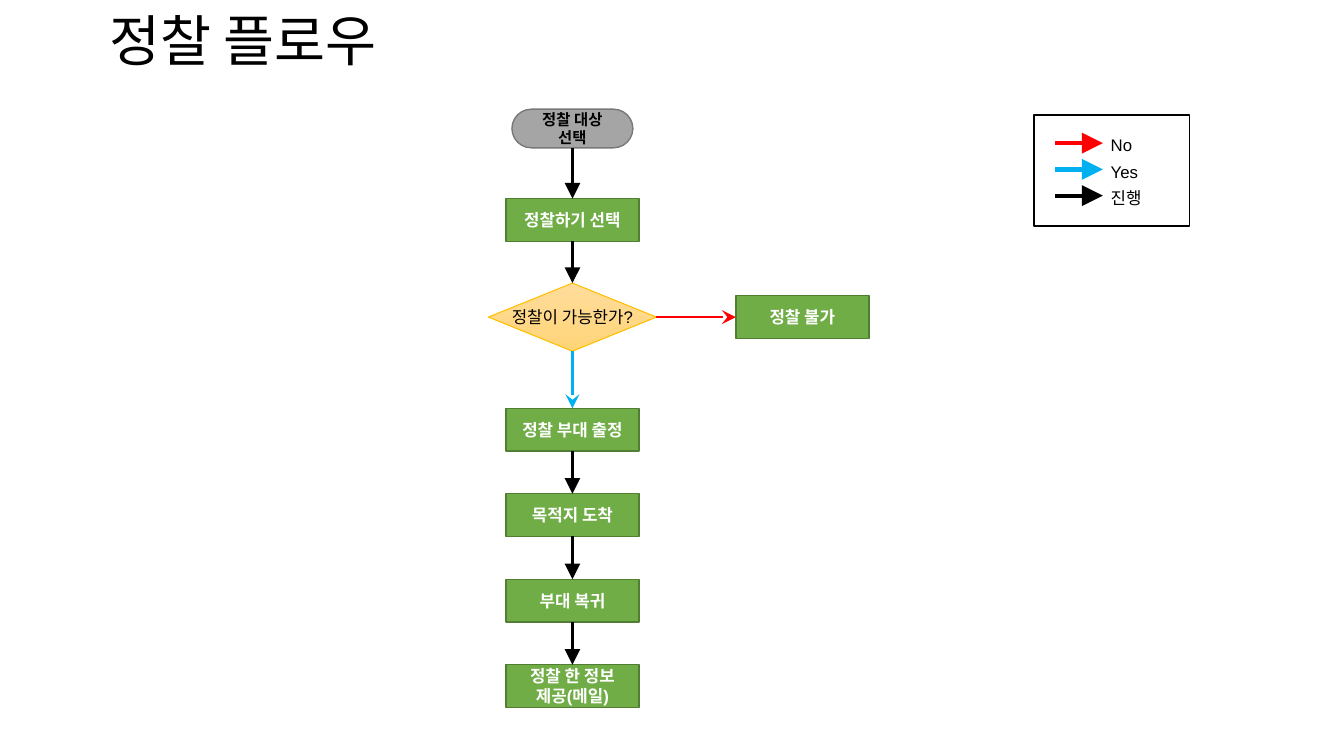
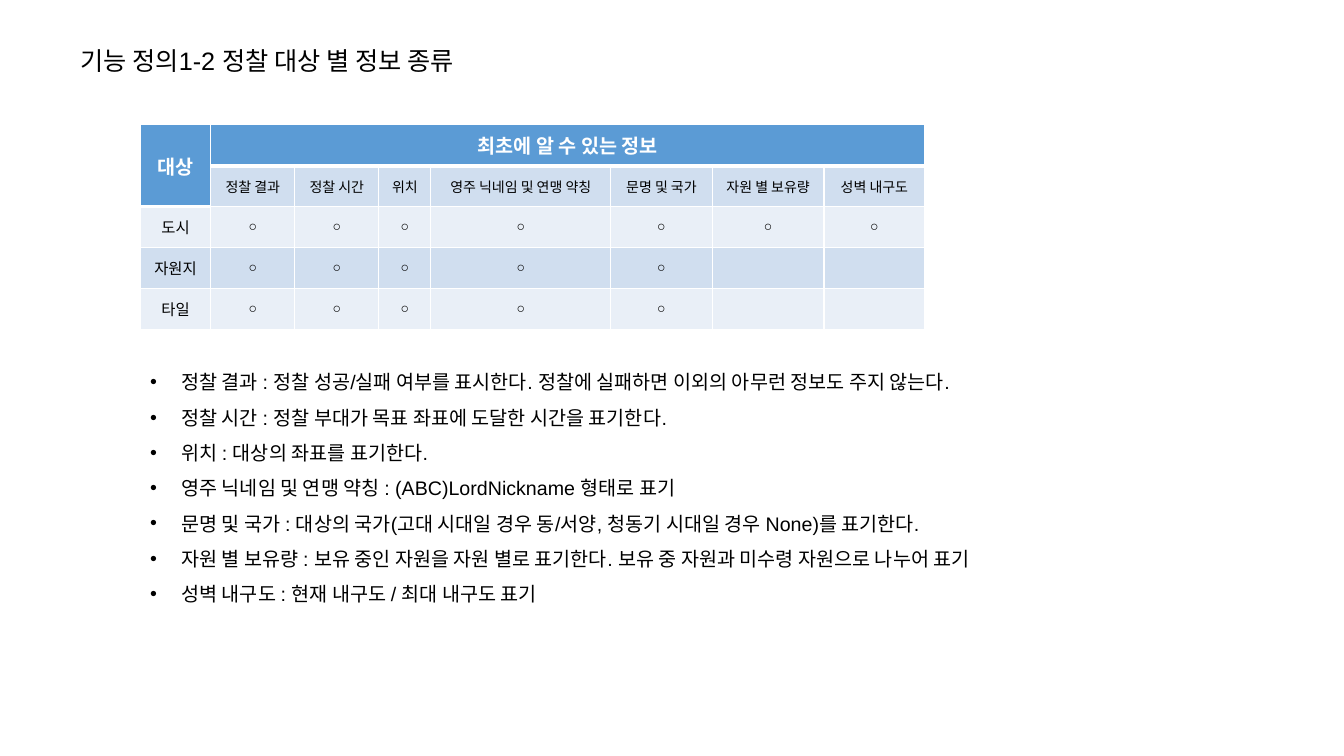
from dataclasses import dataclass
from itertools import pairwise
from typing import Any

from lxml import etree
from pptx import Presentation
from pptx import util as u
from pptx.dml.color import RGBColor
from pptx.enum import shapes, text
from pptx.oxml import ns

COLUMNS, ROWS = 160, 90
UNIT = 76200
FONT = "Arial"
BLACK, WHITE, RED, SKY = "000000", "FFFFFF", "FF0000", "00B0F0"
GREEN, DARK_GREEN, GREY, DARK_GREY = "70AD47", "517E33", "A5A5A5", "787878"
AMBER, AMBER_TOP, AMBER_BOTTOM = "FFC000", "FFDC9B", "FFD478"
BLUE, BAND_DARK, BAND_LIGHT = "5B9BD5", "D0DEEF", "E9EFF7"
TOP, BOTTOM, LEFT, RIGHT = 0, 2, 1, 3
CENTER, START = text.PP_ALIGN.CENTER, text.PP_ALIGN.LEFT
MIDDLE = text.MSO_ANCHOR.MIDDLE
PRESET = shapes.MSO_SHAPE

AXIS = 68.15
STEP_WIDTH, STEP_HEIGHT = 15.84, 5.08
MARCH_TOP, MARCH_PITCH = 48.6, 10.18
DECISION_TOP, DECISION_HEIGHT = 33.7, 8.1


@dataclass
class Style:
    size: float
    color: str = BLACK
    bold: bool = False
    align: Any = START
    spacing: float = 1.0


@dataclass
class Node:
    lines: list[str]
    top: float
    width: float = STEP_WIDTH
    height: float = STEP_HEIGHT
    center: float = AXIS
    preset: Any = PRESET.FLOWCHART_PROCESS
    fill: str = GREEN
    outline: str = DARK_GREEN
    outline_width: float = 1
    style: Style | None = None


@dataclass
class LegendEntry:
    label: str
    color: str


STEP = Style(12, WHITE, True, CENTER)
LABEL = Style(12)
HEADING = Style(14, WHITE, True, CENTER)
COLUMN_NAME = Style(10, align=CENTER)
TARGET_NAME = Style(11, align=CENTER)

START_NODE = Node(["정찰 대상", "선택"], 13, 14.4, 4.6, preset=PRESET.FLOWCHART_TERMINATOR,
                  fill=GREY, outline=DARK_GREY, style=Style(11, BLACK, True, CENTER))
CHOOSE_NODE = Node(["정찰하기 선택"], 23.65)
DECISION_NODE = Node(["정찰이 가능한가?"], DECISION_TOP, 20, DECISION_HEIGHT,
                     preset=PRESET.FLOWCHART_DECISION, fill="", outline=AMBER,
                     outline_width=0.75, style=Style(12, align=CENTER))
REJECT_NODE = Node(["정찰 불가"], DECISION_TOP + (DECISION_HEIGHT - STEP_HEIGHT) / 2, center=95.52)
MARCH_STEPS = [["정찰 부대 출정"], ["목적지 도착"], ["부대 복귀"], ["정찰 한 정보", "제공(메일)"]]
LEGEND = [LegendEntry("No", RED), LegendEntry("Yes", SKY), LegendEntry("진행", BLACK)]

COLUMN_WIDTHS = [8.4, 10, 10, 6.2, 21.4, 12.1, 13.3, 12]
ROW_HEIGHT = 4.88
INFO_NAMES = ["정찰 결과", "정찰 시간", "위치", "영주 닉네임 및 연맹 약칭",
              "문명 및 국가", "자원 별 보유량", "성벽 내구도"]
KNOWN_COUNTS = {"도시": 7, "자원지": 5, "타일": 5}
DEFINITIONS = [
    "정찰 결과 : 정찰 성공/실패 여부를 표시한다. 정찰에 실패하면 이외의 아무런 정보도 주지 않는다.",
    "정찰 시간 : 정찰 부대가 목표 좌표에 도달한 시간을 표기한다.",
    "위치 : 대상의 좌표를 표기한다.",
    "영주 닉네임 및 연맹 약칭 : (ABC)LordNickname 형태로 표기",
    "문명 및 국가 : 대상의 국가(고대 시대일 경우 동/서양, 청동기 시대일 경우 None)를 표기한다.",
    "자원 별 보유량 : 보유 중인 자원을 자원 별로 표기한다. 보유 중 자원과 미수령 자원으로 나누어 표기",
    "성벽 내구도 : 현재 내구도 / 최대 내구도 표기",
]


def grid(count: float) -> int:
    return u.Emu(round(count * UNIT))


def rgb(value: str) -> RGBColor:
    return RGBColor.from_string(value)


def assign(target: Any, values: dict[str, Any]) -> None:
    for name, value in values.items():
        setattr(target, name, value)


def child(parent: Any, tag: str, **attributes: str) -> Any:
    return etree.SubElement(parent, ns.qn(tag), attributes)


def add_bullet(paragraph: Any) -> None:
    properties = paragraph._p.get_or_add_pPr()
    indent = u.Inches(0.31)
    properties.set("marL", str(indent))
    properties.set("indent", str(-indent))
    child(child(properties, "a:buClr"), "a:srgbClr", val=BLACK)
    child(properties, "a:buFont", typeface=FONT)
    child(properties, "a:buChar", char="•")


def write(frame: Any, lines: list[str], style: Style, bulleted: bool = False) -> None:
    for index, line in enumerate(lines):
        paragraph = frame.add_paragraph() if index else frame.paragraphs[0]
        if bulleted:
            add_bullet(paragraph)
        assign(paragraph, {"alignment": style.align, "line_spacing": style.spacing})
        run = paragraph.add_run()
        run.text = line
        assign(run.font, {"name": FONT, "size": u.Pt(style.size), "bold": style.bold})
        run.font.color.rgb = rgb(style.color)


def add_text(slide: Any, area: tuple[float, float, float, float], lines: list[str],
             style: Style, anchor: Any = text.MSO_ANCHOR.TOP, bulleted: bool = False) -> None:
    frame = slide.shapes.add_textbox(*map(grid, area)).text_frame
    assign(frame, {"word_wrap": True, "vertical_anchor": anchor})
    write(frame, lines, style, bulleted)


def set_outline(line: Any, color: str, width: float) -> None:
    line.color.rgb = rgb(color)
    line.width = u.Pt(width)


def add_node(slide: Any, node: Node) -> Any:
    area = (node.center - node.width / 2, node.top, node.width, node.height)
    shape = slide.shapes.add_shape(node.preset, *map(grid, area))
    shape.shadow.inherit = False
    if node.fill:
        shape.fill.solid()
        shape.fill.fore_color.rgb = rgb(node.fill)
    else:
        shape.fill.gradient()
        shape.fill.gradient_angle = 270
        for stop, color in zip(shape.fill.gradient_stops, (AMBER_TOP, AMBER_BOTTOM)):
            stop.color.rgb = rgb(color)
    set_outline(shape.line, node.outline, node.outline_width)
    assign(shape.text_frame, {"word_wrap": node.preset != PRESET.FLOWCHART_DECISION,
                              "vertical_anchor": MIDDLE})
    write(shape.text_frame, node.lines, node.style or STEP)
    return shape


def add_arrow(slide: Any, ends: tuple[float, float, float, float], color: str,
              width: float, head: str = "triangle") -> Any:
    arrow = slide.shapes.add_connector(shapes.MSO_CONNECTOR.STRAIGHT, *map(grid, ends))
    set_outline(arrow.line, color, width)
    child(arrow.line._get_or_add_ln(), "a:tailEnd", type=head, w="lg", len="lg")
    child(arrow._element.spPr, "a:effectLst")
    return arrow


def join(slide: Any, origin: Any, target: Any, color: str = BLACK, width: float = 2.25,
         head: str = "triangle", sides: tuple[int, int] = (BOTTOM, TOP)) -> None:
    arrow = add_arrow(slide, (0, 0, 0, 0), color, width, head)
    arrow.begin_connect(origin, sides[0])
    arrow.end_connect(target, sides[1])


def add_legend(slide: Any) -> None:
    add_node(slide, Node([], 13.7, 18.5, 13.2, 132.35, PRESET.RECTANGLE, WHITE, BLACK))
    for index, entry in enumerate(LEGEND):
        y = 17.05 + 3.12 * index
        add_arrow(slide, (125.6, y, 131.3, y), entry.color, 3)
        add_text(slide, (131.05, y - 1.55, 9.5, 3), [entry.label], LABEL)


def build_flow(slide: Any) -> None:
    add_text(slide, (11.8, 1.2, 138, 8), ["정찰 플로우"], Style(39.6, spacing=0.9), MIDDLE)
    add_legend(slide)
    start, choose, decision, reject = (
        add_node(slide, node) for node in (START_NODE, CHOOSE_NODE, DECISION_NODE, REJECT_NODE))
    march = [add_node(slide, Node(lines, MARCH_TOP + MARCH_PITCH * index))
             for index, lines in enumerate(MARCH_STEPS)]
    for chain in ([start, choose, decision], march):
        for origin, target in pairwise(chain):
            join(slide, origin, target)
    join(slide, decision, reject, RED, 2, "stealth", (RIGHT, LEFT))
    join(slide, decision, march[0], SKY, 2, "stealth")


def add_borders(cell: Any, top: float, bottom: float) -> None:
    properties = cell._tc.get_or_add_tcPr()
    for tag, width in {"a:lnL": 1, "a:lnR": 1, "a:lnT": top, "a:lnB": bottom}.items():
        border = child(properties, tag, w=str(u.Pt(width)))
        child(child(border, "a:solidFill"), "a:srgbClr", val=WHITE)


def fill_cell(cell: Any, fill: str, label: str, style: Style) -> None:
    cell.fill.solid()
    cell.fill.fore_color.rgb = rgb(fill)
    cell.vertical_anchor = MIDDLE
    if label:
        write(cell.text_frame, [label], style)


def add_info_table(slide: Any) -> None:
    known = [[target] + ["○" if index < count else "" for index in range(len(INFO_NAMES))]
             for target, count in KNOWN_COUNTS.items()]
    contents = [["대상", "최초에 알 수 있는 정보"] + [""] * (len(INFO_NAMES) - 1),
                [""] + INFO_NAMES, *known]
    area = (16.7, 14.85, sum(COLUMN_WIDTHS), ROW_HEIGHT * len(contents))
    table = slide.shapes.add_table(len(contents), len(COLUMN_WIDTHS), *map(grid, area)).table
    assign(table, {"first_row": False, "horz_banding": False})
    for column, width in zip(table.columns, COLUMN_WIDTHS):
        column.width = grid(width)
    for row_index, labels in enumerate(contents):
        table.rows[row_index].height = grid(ROW_HEIGHT)
        for column_index, label in enumerate(labels):
            cell = table.cell(row_index, column_index)
            last_heading = 0 if column_index else 1
            heading = row_index <= last_heading
            add_borders(cell, 3 if row_index == last_heading + 1 else 1, 3 if heading else 1)
            band = BAND_DARK if row_index % 2 else BAND_LIGHT
            body = COLUMN_NAME if column_index else TARGET_NAME
            fill_cell(cell, BLUE if heading else band, label, HEADING if heading else body)
    table.cell(0, 0).merge(table.cell(1, 0))
    table.cell(0, 1).merge(table.cell(0, len(INFO_NAMES)))


def build_definition(slide: Any) -> None:
    add_text(slide, (8.4, 4.8, 52.8, 4.8), ["기능 정의1-2 정찰 대상 별 정보 종류"], Style(18))
    add_info_table(slide)
    add_text(slide, (16.7, 42.1, 126.4, 43.4), DEFINITIONS, Style(14, spacing=1.5), bulleted=True)


def main() -> None:
    deck = Presentation()
    assign(deck, {"slide_width": grid(COLUMNS), "slide_height": grid(ROWS)})
    for build in (build_flow, build_definition):
        build(deck.slides.add_slide(deck.slide_layouts[6]))
    deck.save("out.pptx")


if __name__ == "__main__":
    main()
